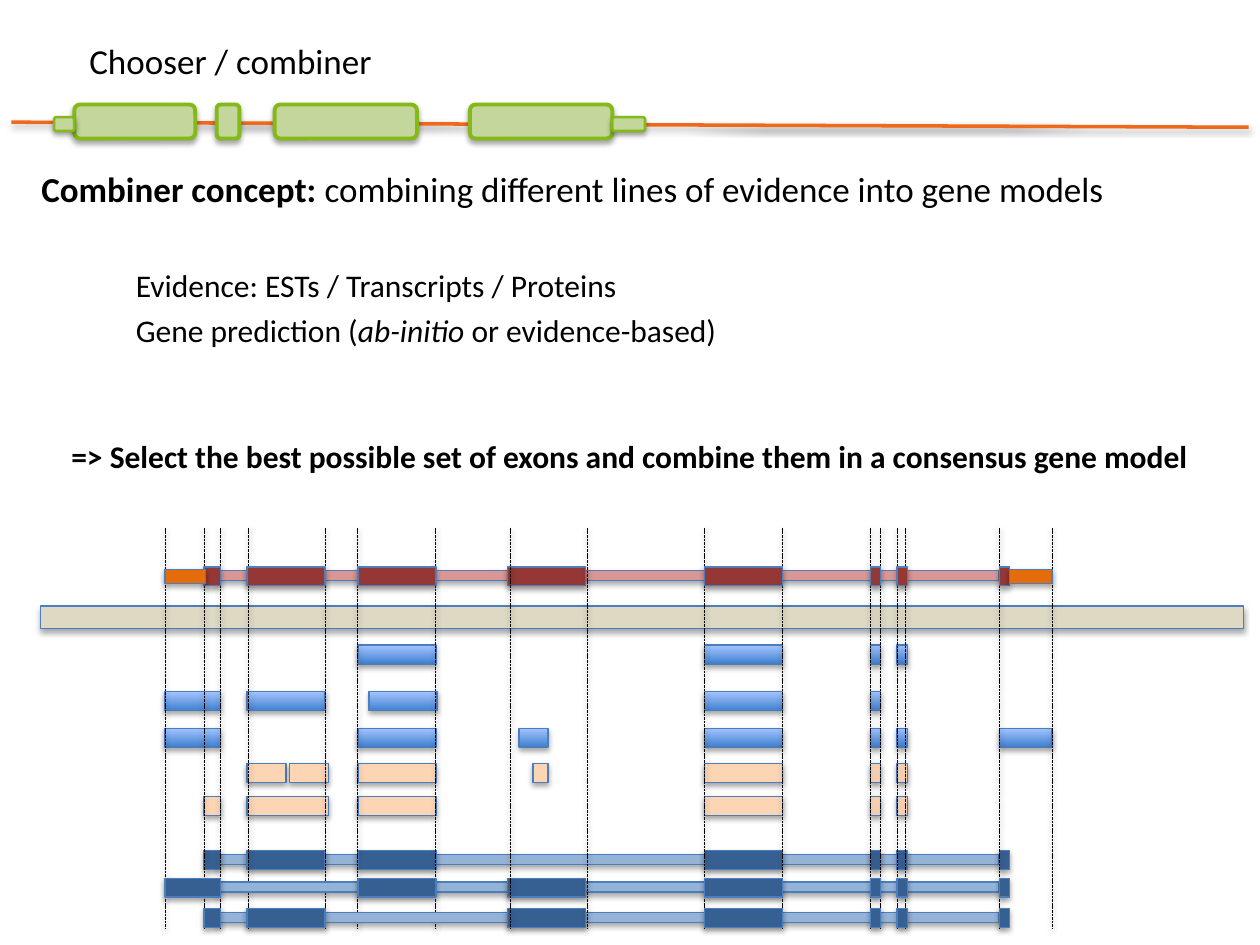
from dataclasses import dataclass

from lxml import etree
from pptx import Presentation
from pptx.dml.color import RGBColor
from pptx.enum import dml, shapes, text
from pptx.oxml import ns
from pptx.util import Inches, Pt


@dataclass(frozen=True)
class Theme:
    font: str = "Calibri"
    heading: int = 20
    body: int = 18
    ink: str = "000000"
    genome_line: str = "F0681A"
    gene_fill: str = "C3D69B"
    gene_line: str = "84B919"
    outline: str = "4B7EBC"
    genome: str = "DDD9C3"
    protein: str = "FCD5B5"
    transcript: tuple = ("3F80CE", "A4C4FF")
    model: str = "376092"
    model_intron: str = "95B3D7"
    consensus: str = "953735"
    consensus_intron: str = "D99694"
    utr: str = "E46C0A"


THEME = Theme()
EXON_H = 0.15

# Left edge and width of every exon that several tracks share
EXONS = {
    "start": (1.62, 0.13), "utr_start": (1.31, 0.44),
    "a": (1.96, 0.62), "b": (2.84, 0.62), "c": (4.03, 0.62), "d": (5.59, 0.62),
    "e": (6.91, 0.08), "f": (7.12, 0.08),
    "stop": (7.93, 0.08), "utr_stop": (7.93, 0.42),
}
TRANSCRIPTS = [
    (5.12, ["b", "d", "e", "f"]),
    (5.49, ["a", (2.93, 0.54), "d", "e", "utr_start"]),
    (5.78, ["b", "d", "e", "f", "utr_stop", "utr_start", (4.12, 0.23)]),
]
PROTEINS = [
    (6.06, [(1.96, 0.31), "b", "d", "e", "f", (2.3, 0.31), (4.23, 0.12)]),
    (6.32, ["start", "b", "d", "e", "f", (1.96, 0.65)]),
]
MODELS = [
    (6.75, ["a", "b", "d", "e", "f", "stop", "start"]),
    (6.97, ["c", "b", "d", "e", "f", "stop", "utr_start"]),
    (7.21, ["c", "a", "d", "e", "f", "stop", "start"]),
]
CONSENSUS = (4.5, ["a", "b", "d", "e", "f", "stop", "start", "c"])
GUIDES = [1.31, 1.75, 1.62, 1.97, 2.58, 2.84, 3.46, 5.59, 6.21,
          6.91, 6.99, 7.12, 7.19, 7.93, 8.35]
SKIPPED_EXON_GUIDES = [4.05, 4.66]
GENE_BOXES = [(0.59, 0.96), (1.72, 0.18), (2.18, 1.13), (3.73, 1.13)]
GENE_UTRS = [(4.86, 0.26), (0.43, 0.16)]


def rgb(value):
    return RGBColor.from_string(value)


def add_shadow(sp, dist, opacity):
    """Give a shape or connector a soft shadow falling straight down."""
    props = sp._element.spPr
    effects = props.find(ns.qn("a:effectLst"))
    if effects is None:
        effects = etree.SubElement(props, ns.qn("a:effectLst"))
    shadow = etree.SubElement(effects, ns.qn("a:outerShdw"), blurRad=str(Pt(3.1)),
                              dist=str(Pt(dist)), dir="5400000", rotWithShape="0")
    color = etree.SubElement(shadow, ns.qn("a:srgbClr"), val=THEME.ink)
    etree.SubElement(color, ns.qn("a:alpha"), val=str(opacity * 1000))


def add_box(parent, box, fill, line=THEME.outline, width=0.75,
            kind=shapes.MSO_SHAPE.RECTANGLE):
    """Add a shadowed box; a pair of colours makes a bottom-to-top gradient."""
    sp = parent.shapes.add_shape(kind, *map(Inches, box))
    if isinstance(fill, tuple):
        sp.fill.gradient()
        sp.fill.gradient_angle = 90
        for stop, color, position in zip(sp.fill.gradient_stops, fill, (0, 1)):
            stop.color.rgb = rgb(color)
            stop.position = position
    else:
        sp.fill.solid()
        sp.fill.fore_color.rgb = rgb(fill)
    sp.line.color.rgb = rgb(line)
    sp.line.width = Pt(width)
    sp.shadow.inherit = False
    add_shadow(sp, 1.8, 35)


def add_line(parent, start, end, color, width, dash=None):
    sp = parent.shapes.add_connector(shapes.MSO_CONNECTOR.STRAIGHT,
                                     *map(Inches, start + end))
    sp.line.color.rgb = rgb(color)
    sp.line.width = Pt(width)
    if dash:
        sp.line.dash_style = dash
    add_shadow(sp, 1.6, 38)


def add_guides(parent, positions):
    for x in positions:
        add_line(parent, (x, 4.19), (x, 7.37), THEME.ink, 0.5,
                 dml.MSO_LINE.SQUARE_DOT)


def add_exons(parent, top, exons, fill):
    for exon in exons:
        left, width = EXONS[exon] if isinstance(exon, str) else exon
        add_box(parent, (left, top, width, EXON_H), fill)


def add_evidence(s, tracks, fill):
    group = s.shapes.add_group_shape()
    for top, exons in tracks:
        add_exons(group, top, exons, fill)


def add_gene_model(s, track, fill, intron_fill):
    """Add exons on top of a thin intron bar and return their group."""
    top, exons = track
    group = s.shapes.add_group_shape()
    add_box(group, (1.71, top + 0.03, 6.22, 0.08), intron_fill)
    add_exons(group, top, exons, fill)
    return group


def add_gene_banner(s):
    add_line(s, (0.09, 0.97), (9.91, 1.01), THEME.genome_line, 2)
    for boxes, top, height, width in ((GENE_BOXES, 0.83, 0.27, 2.25),
                                      (GENE_UTRS, 0.93, 0.11, 1.5)):
        for left, length in boxes:
            add_box(s, (left, top, length, height), THEME.gene_fill, THEME.gene_line,
                    width, shapes.MSO_SHAPE.ROUNDED_RECTANGLE)


def write_runs(p, runs, size):
    """Write (text, style) runs, where style is "", "b" or "i"."""
    for content, style in runs:
        r = p.add_run()
        r.text = content
        r.font.name = THEME.font
        r.font.size = Pt(size)
        r.font.color.rgb = rgb(THEME.ink)
        r.font.bold = style == "b"
        r.font.italic = style == "i"


def add_text(s, box, runs, size=THEME.body, align=text.PP_ALIGN.LEFT, wrap=True):
    tf = s.shapes.add_textbox(*map(Inches, box)).text_frame
    tf.word_wrap = wrap
    tf.auto_size = text.MSO_AUTO_SIZE.SHAPE_TO_FIT_TEXT
    tf.paragraphs[0].alignment = align
    write_runs(tf.paragraphs[0], runs, size)


def set_title(s, box, content):
    title = s.shapes.title
    title.left, title.top, title.width, title.height = map(Inches, box)
    title.text_frame.auto_size = text.MSO_AUTO_SIZE.NONE
    p = title.text_frame.paragraphs[0]
    p.alignment = text.PP_ALIGN.CENTER
    write_runs(p, [(content, "")], THEME.heading)


def main():
    prs = Presentation()
    prs.slide_width, prs.slide_height = Inches(10), Inches(7.5)
    s = prs.slides.add_slide(prs.slide_layouts[5])

    add_gene_banner(s)
    set_title(s, (0.5, 0.24, 2.66, 0.48), "Chooser / combiner")
    add_text(s, (0.23, 1.28, 9.77, 0.44),
             [("Combiner concept: ", "b"),
              ("combining different lines of evidence into gene models", "")],
             THEME.heading)
    add_text(s, (0.98, 2.06, 4.4, 0.4), [("Evidence: ESTs / Transcripts / Proteins", "")])
    add_text(s, (0.98, 2.42, 4.86, 0.4),
             [("Gene prediction (", ""), ("ab-initio ", "i"), ("or evidence-based)", "")],
             wrap=False)
    add_text(s, (0, 3.42, 10, 0.4),
             [("=> Select the best possible set of exons and combine them "
               "in a consensus gene model", "b")], align=text.PP_ALIGN.CENTER)

    add_box(s, (0.32, 4.81, 9.55, 0.18), THEME.genome)
    add_gene_model(s, MODELS[0], THEME.model, THEME.model_intron)
    add_evidence(s, PROTEINS, THEME.protein)
    add_evidence(s, TRANSCRIPTS, THEME.transcript)
    add_guides(s.shapes.add_group_shape(), GUIDES)
    for track in MODELS[1:]:
        add_gene_model(s, track, THEME.model, THEME.model_intron)
    consensus = add_gene_model(s, CONSENSUS, THEME.consensus, THEME.consensus_intron)
    for left, width in ((1.31, 0.32), (8.01, 0.34)):
        add_box(consensus, (left, 4.52, width, 0.11), THEME.utr)
    add_guides(s, SKIPPED_EXON_GUIDES)

    prs.save("out.pptx")


if __name__ == "__main__":
    main()
